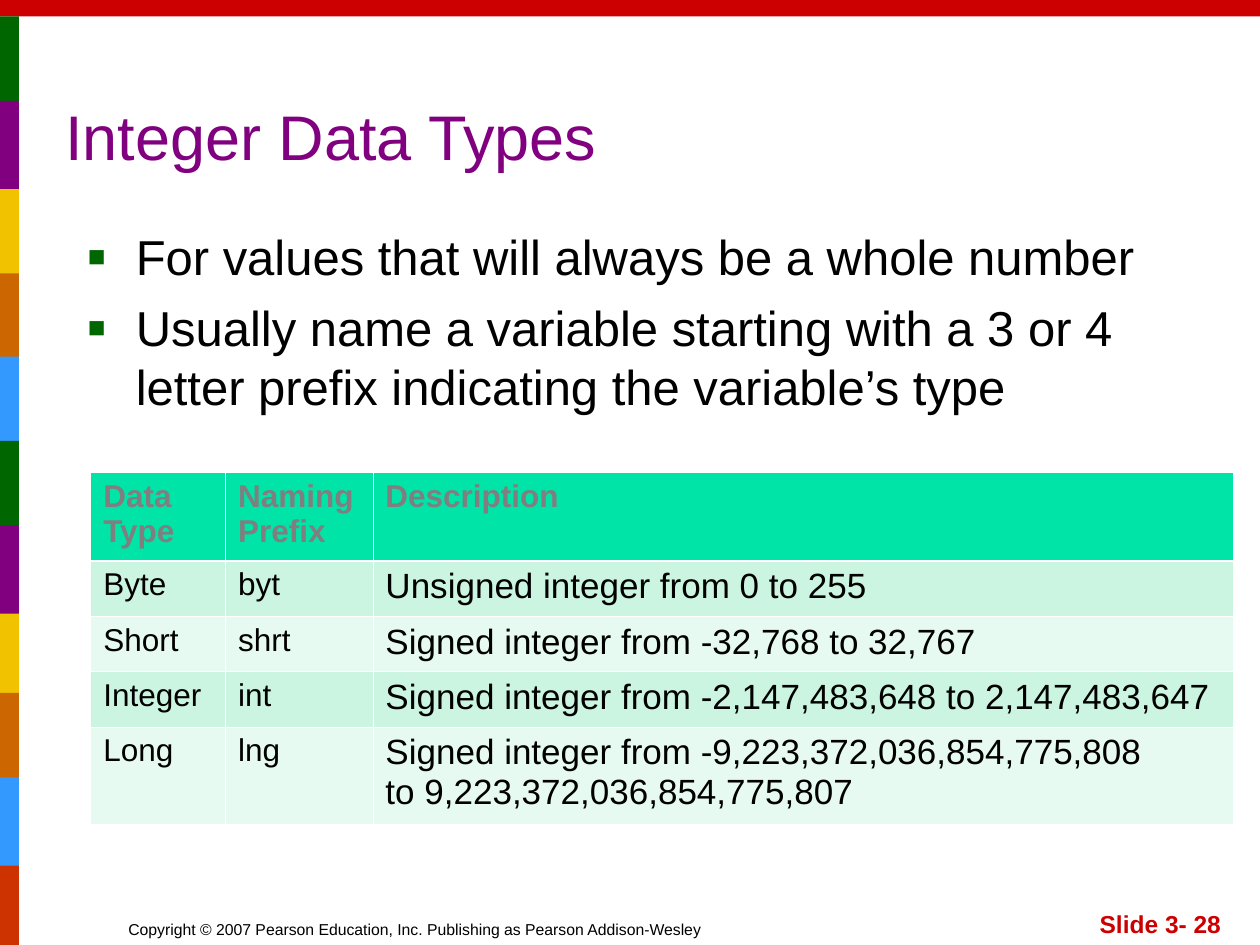
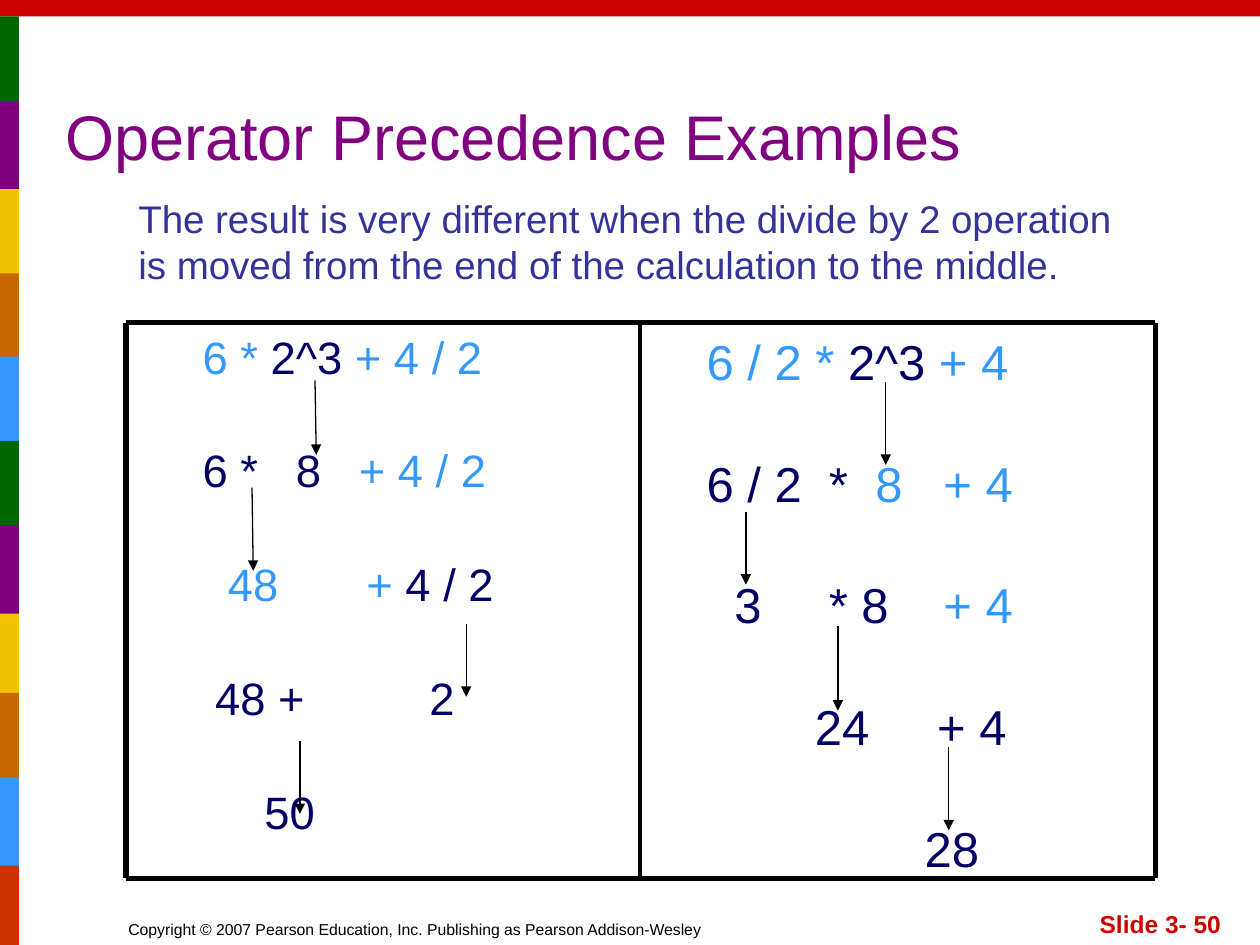
"""Build two slides on integer data types and operator precedence."""
from lxml import etree
from pptx import Presentation
from pptx.dml.color import RGBColor
from pptx.enum import shapes, text
from pptx.oxml import ns
from pptx.util import Inches, Pt

RED = RGBColor(0xCC, 0x00, 0x00)
RUST = RGBColor(0xCC, 0x33, 0x00)
GREEN = RGBColor(0x00, 0x66, 0x00)
PURPLE = RGBColor(0x80, 0x00, 0x80)
YELLOW = RGBColor(0xF0, 0xC2, 0x00)
ORANGE = RGBColor(0xCC, 0x66, 0x00)
BLUE = RGBColor(0x33, 0x99, 0xFF)
NAVY = RGBColor(0x00, 0x00, 0x66)
INDIGO = RGBColor(0x33, 0x33, 0x99)
BLACK = RGBColor(0x00, 0x00, 0x00)
GRAY = RGBColor(0x7F, 0x7F, 0x7F)
MINT = RGBColor(0x00, 0xE4, 0xA8)
MINT_MID = RGBColor(0xCB, 0xF5, 0xE1)
MINT_PALE = RGBColor(0xE7, 0xFA, 0xF1)
FONT = "Arial"

BANDS = [
    (0, 0, 10, 0.13, RED),
    (0, 6.8, 0.15, 0.7, RUST),
    (0, 1.5, 0.15, 0.7, YELLOW),
    (0, 0.13, 0.15, 0.7, GREEN),
    (0, 0.8, 0.15, 0.7, PURPLE),
    (0, 2.17, 0.15, 0.7, ORANGE),
    (0, 2.83, 0.15, 0.7, BLUE),
    (0, 4.83, 0.15, 0.7, YELLOW),
    (0, 3.5, 0.15, 0.7, GREEN),
    (0, 4.17, 0.15, 0.7, PURPLE),
    (0, 5.5, 0.15, 0.7, ORANGE),
    (0, 6.17, 0.15, 0.7, BLUE),
]


def add_text(s, box, paragraphs, anchor="TOP", align="LEFT", before=0, **font):
    """Add a text box; each paragraph is a list of (text, colour) runs."""
    tf = s.shapes.add_textbox(*map(Inches, box)).text_frame
    tf.word_wrap = True
    tf.vertical_anchor = text.MSO_ANCHOR[anchor]
    for i, runs in enumerate(paragraphs):
        p = tf.add_paragraph() if i else tf.paragraphs[0]
        p.alignment = text.PP_ALIGN[align]
        if i:
            p.space_before = Pt(before)
        for words, color in runs:
            r = p.add_run()
            r.text = words
            r.font.color.rgb = color
            for name, value in {"name": FONT, **font}.items():
                setattr(r.font, name, value)
    return tf


def add_line(s, x1, y1, x2, y2, width, arrow=False):
    """Add a black line, with an arrowhead at its end if asked."""
    c = s.shapes.add_connector(shapes.MSO_CONNECTOR.STRAIGHT, *map(Inches, (x1, y1, x2, y2)))
    c.line.color.rgb = BLACK
    c.line.width = Pt(width)
    if arrow:
        etree.SubElement(c.line._get_or_add_ln(), ns.qn("a:tailEnd"), type="triangle")
    etree.SubElement(c._element.spPr, ns.qn("a:effectLst"))


prs = Presentation()
prs.slide_width, prs.slide_height = Inches(10), Inches(7.5)

for title, number in [("Integer Data Types", 28), ("Operator Precedence Examples", 50)]:
    s = prs.slides.add_slide(prs.slide_layouts[6])
    for *box, color in BANDS:
        sp = s.shapes.add_shape(shapes.MSO_SHAPE.RECTANGLE, *map(Inches, box))
        sp.shadow.inherit = False
        sp.fill.solid()
        sp.fill.fore_color.rgb = color
        sp.line.fill.background()
    copyright_line = "Copyright © 2007 Pearson Education, Inc. Publishing as Pearson Addison-Wesley"
    add_text(s, (0.92, 7, 4.92, 0.5), [[(copyright_line, BLACK)]], "BOTTOM", size=Pt(9))
    add_text(s, (7.71, 7, 2.08, 0.5), [[(f"Slide 3- {number}", RED)]], "BOTTOM", "RIGHT",
             size=Pt(14), bold=True)
    add_text(s, (0.42, 0.33, 8.47, 1.09), [[(title, PURPLE)]], "BOTTOM", size=Pt(36))

types_slide, precedence_slide = prs.slides

s = types_slide
points = [
    "For values that will always be a whole number",
    "Usually name a variable starting with a 3 or 4 letter prefix indicating the variable’s type",
]
tf = add_text(s, (0.6, 1.75, 9.07, 1.83), [[(point, BLACK)] for point in points],
              before=7, size=Pt(28))
tf.margin_right = 0
for p in tf.paragraphs:
    pPr = p._p.get_or_add_pPr()
    pPr.set("marL", str(Inches(0.38)))
    pPr.set("indent", str(-Inches(0.38)))
    bullet_color = etree.SubElement(pPr, ns.qn("a:buClr"))
    etree.SubElement(bullet_color, ns.qn("a:srgbClr"), val=str(GREEN))
    etree.SubElement(pPr, ns.qn("a:buSzPct"), val="60000")
    etree.SubElement(pPr, ns.qn("a:buFont"), typeface=FONT)
    etree.SubElement(pPr, ns.qn("a:buChar"), char="■")

rows = [
    ("Data Type", "Naming Prefix", "Description"),
    ("Byte", "byt", "Unsigned integer from 0 to 255"),
    ("Short", "shrt", "Signed integer from -32,768 to 32,767"),
    ("Integer", "int", "Signed integer from -2,147,483,648 to 2,147,483,647"),
    ("Long", "lng", "Signed integer from -9,223,372,036,854,775,808\vto 9,223,372,036,854,775,807"),
]
table = s.shapes.add_table(5, 3, *map(Inches, (0.72, 3.75, 9.07, 2.77))).table
for column, width in zip(table.columns, (1.07, 1.17, 6.83)):
    column.width = Inches(width)
for row, height in zip(table.rows, (0.7, 0.44, 0.44, 0.44, 0.77)):
    row.height = Inches(height)
for i, row in enumerate(rows):
    for j, words in enumerate(row):
        cell = table.cell(i, j)
        cell.text = words
        tcPr = cell._tc.get_or_add_tcPr()
        for side in "LRTB":
            heavy = (i, side) in [(0, "B"), (1, "T")]
            ln = etree.SubElement(tcPr, ns.qn(f"a:ln{side}"), w=str(Pt(1.47 if heavy else 0.45)))
            fill = etree.SubElement(ln, ns.qn("a:solidFill"))
            etree.SubElement(fill, ns.qn("a:srgbClr"), val="FFFFFF")
        cell.fill.solid()
        cell.fill.fore_color.rgb = MINT if i == 0 else (MINT_PALE, MINT_MID)[i % 2]
        for r in cell.text_frame.paragraphs[0].runs:
            r.font.color.rgb = BLACK if i else GRAY
            for name, value in {"name": FONT, "size": Pt(20 if i and j == 2 else 18),
                                "bold": i == 0}.items():
                setattr(r.font, name, value)

s = precedence_slide
caption = ("The result is very different when the divide by 2 operation "
           "is moved from the end of the calculation to the middle.")
add_text(s, (1, 1.5, 8.08, 0.84), [[(caption, INDIGO)]], size=Pt(22))

left_steps = [
    [(1.61, "6 * ", BLUE), (None, "2^3", NAVY), (None, " + 4 / 2", BLUE)],
    [(1.61, "6 *", NAVY), (2.35, "8", NAVY), (2.85, "+ 4 / 2", BLUE)],
    [(1.81, "48", BLUE), (2.91, "+", BLUE), (None, " 4 / 2", NAVY)],
    [(1.71, "48 +", NAVY), (3.41, "2", NAVY)],
    [(2.1, "50", NAVY)],
]
right_steps = [
    [(5.61, "6 / 2 * ", BLUE), (None, "2^3", NAVY), (None, " + 4", BLUE)],
    [(5.61, "6 / 2", NAVY), (6.58, "*", NAVY), (6.95, "8", BLUE), (7.49, "+ 4", BLUE)],
    [(5.83, "3", NAVY), (6.58, "* 8", NAVY), (7.49, "+ 4", BLUE)],
    [(6.47, "24", NAVY), (7.44, "+ 4", NAVY)],
    [(7.34, "28", NAVY)],
]
for box, steps, size, before in [
    ((0.6, 2.56, 4.15, 4.09), left_steps, 25.9, 34),
    ((5.01, 2.58, 4, 4.42), right_steps, 28, 36),
]:
    runs = [[(("\t" if x else "") + words, color) for x, words, color in step] for step in steps]
    tf = add_text(s, box, runs, before=before, size=Pt(size))
    for p, step in zip(tf.paragraphs, steps):
        tabs = etree.SubElement(p._p.get_or_add_pPr(), ns.qn("a:tabLst"))
        for x in (x for x, *_ in step if x):
            etree.SubElement(tabs, ns.qn("a:tab"), pos=str(Inches(x - box[0] - 0.1)), algn="l")

left, middle, right, top, bottom = 1, 5.08, 9.17, 2.56, 6.97
for x, width in [(middle, 2), (left, 3), (right, 3)]:
    add_line(s, x, top, x, bottom, width)
for y in (top, bottom):
    for x in (left, right):
        add_line(s, middle, y, x, y, 3)

for arrow in [
    (2.5, 3.02, 2.51, 3.61), (2, 3.87, 2.01, 4.53),
    (3.7, 4.95, 3.7, 5.53), (2.38, 5.88, 2.38, 6.46),
    (7.03, 3.03, 7.03, 3.69), (5.92, 4.06, 5.92, 4.64),
    (6.65, 4.97, 6.65, 5.64), (7.53, 5.93, 7.53, 6.59),
]:
    add_line(s, *arrow, 0.75, arrow=True)

prs.save("out.pptx")
